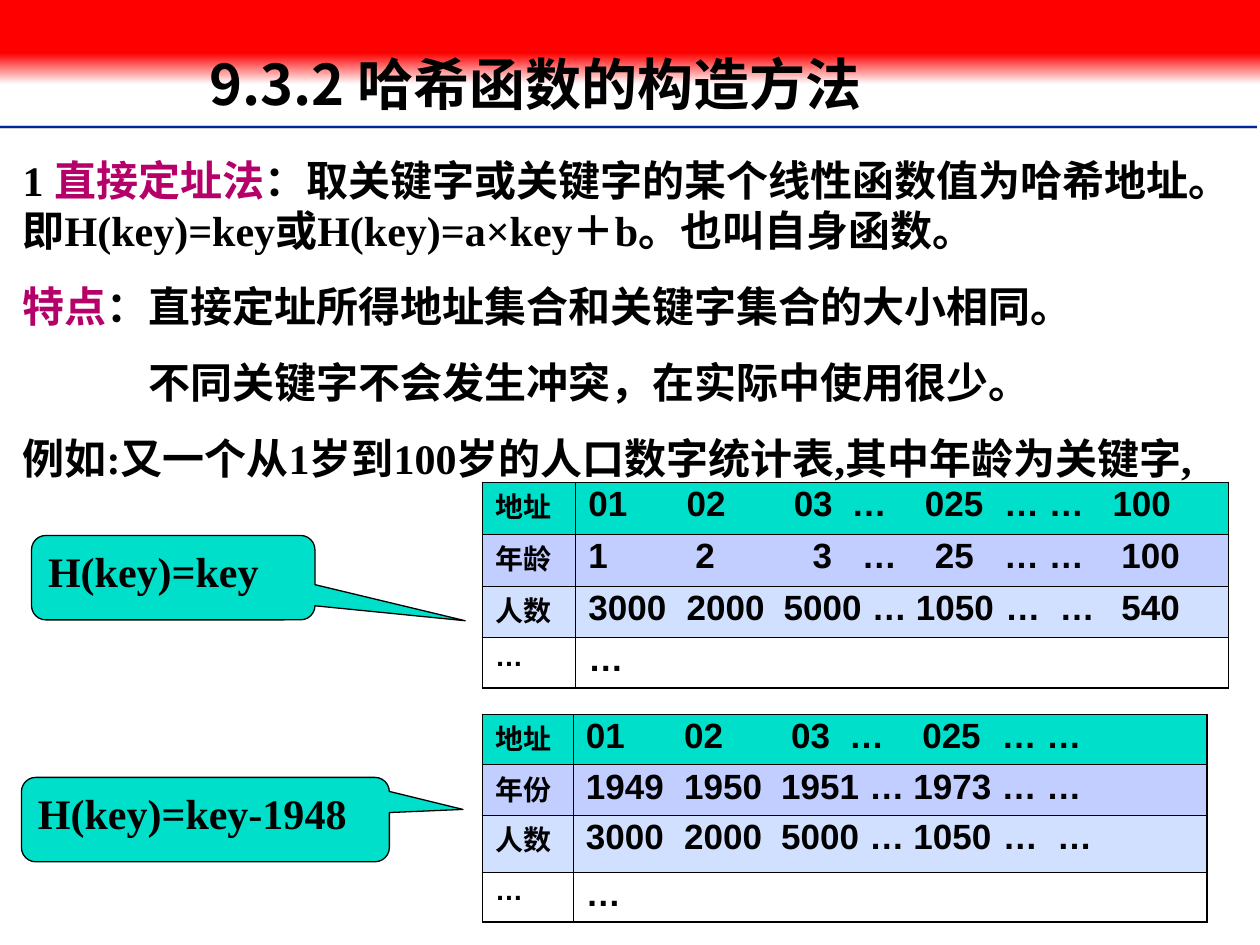
import pptx
import pptx.dml.color
import pptx.enum.dml
import pptx.enum.lang
import pptx.enum.shapes
import pptx.enum.text
import pptx.oxml.ns
import pptx.util
from lxml import etree

Inches = pptx.util.Inches
Pt = pptx.util.Pt
qn = pptx.oxml.ns.qn
SHAPES = pptx.enum.shapes.MSO_SHAPE


class Theme:
    red = pptx.dml.color.RGBColor.from_string("FF0000")
    white = pptx.dml.color.RGBColor.from_string("FFFFFF")
    black = pptx.dml.color.RGBColor.from_string("000000")
    grey = pptx.dml.color.RGBColor.from_string("CECECE")
    blue = pptx.dml.color.RGBColor.from_string("00279F")
    magenta = pptx.dml.color.RGBColor.from_string("B50069")
    teal = pptx.dml.color.RGBColor.from_string("00DFCA")
    lavender = pptx.dml.color.RGBColor.from_string("C1CEFF")
    pale_blue = pptx.dml.color.RGBColor.from_string("D1E0FF")
    chinese_font = "Noto Sans CJK SC"
    serif_font = "Times New Roman"
    table_font = "Arial"
    title_size = Pt(32)
    body_size = Pt(24)
    value_size = Pt(20)
    label_size = Pt(16)


def set_font(paragraph, name, size):
    font = paragraph.font
    font.name = name
    font.size = size
    font.bold = True
    font.color.rgb = Theme.black
    font.language_id = pptx.enum.lang.MSO_LANGUAGE_ID.SIMPLIFIED_CHINESE
    latin = font._element.find(qn("a:latin"))
    east_asian = etree.Element(qn("a:ea"), typeface=Theme.chinese_font)
    latin.addnext(east_asian)


def add_border(cell, position, side, width):
    line = etree.Element(qn(f"a:ln{side}"), w=str(Pt(width)))
    fill = etree.SubElement(line, qn("a:solidFill"))
    etree.SubElement(fill, qn("a:srgbClr"), val=str(Theme.black))
    cell._tc.get_or_add_tcPr().insert(position, line)


presentation = pptx.Presentation()
presentation.slide_width = Inches(10)
presentation.slide_height = Inches(7.5)
slide = presentation.slides.add_slide(presentation.slide_layouts[1])
title = slide.shapes.title
body = slide.placeholders[1]

# Header rules and red band, placed behind the title
header = []
for y, color, width in [(1.01, Theme.grey, 2), (1.01, Theme.blue, 1), (1.03, Theme.white, 1)]:
    rule = slide.shapes.add_connector(
        pptx.enum.shapes.MSO_CONNECTOR.STRAIGHT, 0, Inches(y), Inches(9.98), Inches(y))
    rule.line.color.rgb = color
    rule.line.width = Pt(width)
    etree.SubElement(rule._element.spPr, qn("a:effectLst"))
    header.append(rule)

fade = slide.shapes.add_shape(SHAPES.RECTANGLE, 0, Inches(0.42), Inches(10), Inches(0.25))
fade.fill.gradient()
fade.fill.gradient_angle = 270
for stop, color, position in zip(fade.fill.gradient_stops, (Theme.red, Theme.white), (0, 1)):
    stop.color.rgb = color
    stop.position = position
band = slide.shapes.add_shape(SHAPES.RECTANGLE, 0, 0, Inches(10), Inches(0.42))
band.fill.solid()
band.fill.fore_color.rgb = Theme.red
for shape in (fade, band):
    shape.line.fill.background()
    shape.shadow.inherit = False
    header.append(shape)
for shape in header:
    title._element.addprevious(shape._element)

# Title
title.left, title.top, title.width, title.height = map(Inches, (1.56, 0.32, 7.86, 0.74))
title.text_frame.text = "9.3.2 哈希函数的构造方法"
title.text_frame.auto_size = pptx.enum.text.MSO_AUTO_SIZE.NONE
title.text_frame.vertical_anchor = pptx.enum.text.MSO_ANCHOR.MIDDLE
paragraph = title.text_frame.paragraphs[0]
paragraph.alignment = pptx.enum.text.PP_ALIGN.LEFT
paragraph.line_spacing = 0.9
set_font(paragraph, Theme.chinese_font, Theme.title_size)

# Body: each paragraph is an indent and its runs, with key terms highlighted
body.left, body.top, body.width, body.height = map(Inches, (0.08, 1.18, 9.92, 3.13))
body.text_frame.auto_size = pptx.enum.text.MSO_AUTO_SIZE.NONE
key_terms = ("直接定址法", "特点")
body_paragraphs = [
    (0, ["1 ", "直接定址法", "：取关键字或关键字的某个线性函数值为哈希地址。"
         "即H(key)=key或H(key)=a×key＋b。也叫自身函数。"]),
    (0, ["特点", "：直接定址所得地址集合和关键字集合的大小相同。"]),
    (1, ["不同关键字不会发生冲突，在实际中使用很少。"]),
    (0, ["例如:又一个从1岁到100岁的人口数字统计表,其中年龄为关键字,"]),
]
for index, (indent, runs) in enumerate(body_paragraphs):
    paragraph = body.text_frame.paragraphs[0] if index == 0 else body.text_frame.add_paragraph()
    paragraph.line_spacing = Pt(28.5)
    paragraph.space_before = Pt(15 if index else 0)
    properties = paragraph._p.get_or_add_pPr()
    properties.set("marL", str(Inches(indent)))
    properties.set("indent", "0")
    etree.SubElement(properties, qn("a:buNone"))
    set_font(paragraph, Theme.serif_font, Theme.body_size)
    for text in runs:
        run = paragraph.add_run()
        run.text = text
        if text in key_terms:
            run.font.color.rgb = Theme.magenta

# Tables: each row is a label, its values and the tab stops between them
header_stops = (0.78, 1.63, 2.09, 2.67, 3.3, 4.16)
age_stops = (0.85, 1.78, 2.17, 2.75, 3.3, 4.23)
year_stops = (0.78, 1.55, 2.25, 2.6, 3.3)
count_stops = (0.78, 1.55, 2.25, 2.6, 3.31, 3.74, 4.23)
addresses = ["01", "02", "03", "…", "025", "… …"]
counts = ["3000", "2000", "5000", "…", "1050", "…", "…"]
tables = [
    (3.83, (0.74, 5.18), (0.41, 0.41, 0.41, 0.4), [
        ("地址", addresses + ["100"], header_stops),
        ("年龄", ["1", "2", "3", "…", "25", "… …", "100"], age_stops),
        ("人数", counts + ["540"], count_stops),
        ("…", ["…"], ()),
    ]),
    (5.67, (0.72, 5.03), (0.4, 0.4, 0.45, 0.4), [
        ("地址", addresses, header_stops),
        ("年份", ["1949", "1950", "1951", "…", "1973", "… …"], year_stops),
        ("人数", counts, count_stops),
        ("…", ["…"], ()),
    ]),
]
row_fills = (Theme.teal, Theme.lavender, Theme.pale_blue, None)
for top, widths, heights, rows in tables:
    table = slide.shapes.add_table(
        len(rows), len(widths), Inches(3.83), Inches(top),
        Inches(sum(widths)), Inches(sum(heights))).table
    for column, width in zip(table.columns, widths):
        column.width = Inches(width)
    for row_index, (label, values, stops) in enumerate(rows):
        table.rows[row_index].height = Inches(heights[row_index])
        for column_index, entries in enumerate(([label], values)):
            cell = table.cell(row_index, column_index)
            outer_sides = {"L": column_index == 0, "R": column_index == 1,
                           "T": row_index == 0, "B": row_index == len(rows) - 1}
            for position, (side, is_outer) in enumerate(outer_sides.items()):
                add_border(cell, position, side, 1.08 if is_outer else 0.45)
            if row_fills[row_index] is None:
                cell.fill.background()
            else:
                cell.fill.solid()
                cell.fill.fore_color.rgb = row_fills[row_index]
            cell.text_frame.text = "\t".join(entries)
            paragraph = cell.text_frame.paragraphs[0]
            paragraph.line_spacing = 0.9
            if column_index == 1 and stops:
                tab_list = etree.SubElement(paragraph._p.get_or_add_pPr(), qn("a:tabLst"))
                for stop in stops:
                    etree.SubElement(tab_list, qn("a:tab"), pos=str(Inches(stop)), algn="l")
            set_font(paragraph, Theme.table_font,
                     Theme.value_size if column_index else Theme.label_size)

# Callouts naming the hash function of each table
callouts = [
    ("H(key)=key", (0.25, 4.25, 2.25, 0.67), (1.03, 0.51, 0.17)),
    ("H(key)=key-1948", (0.17, 6.17, 2.92, 0.67), (0.7, -0.12, 0.17)),
]
for text, bounds, adjustments in callouts:
    callout = slide.shapes.add_shape(SHAPES.ROUNDED_RECTANGULAR_CALLOUT, *map(Inches, bounds))
    for index, value in enumerate(adjustments):
        callout.adjustments[index] = value
    callout.fill.solid()
    callout.fill.fore_color.rgb = Theme.teal
    callout.line.color.rgb = Theme.black
    callout.line.width = Pt(0.75)
    callout.shadow.inherit = False
    callout.text_frame.text = text
    callout.text_frame.vertical_anchor = pptx.enum.text.MSO_ANCHOR.TOP
    paragraph = callout.text_frame.paragraphs[0]
    paragraph.alignment = pptx.enum.text.PP_ALIGN.LEFT
    set_font(paragraph, Theme.serif_font, Theme.body_size)

presentation.save("out.pptx")
